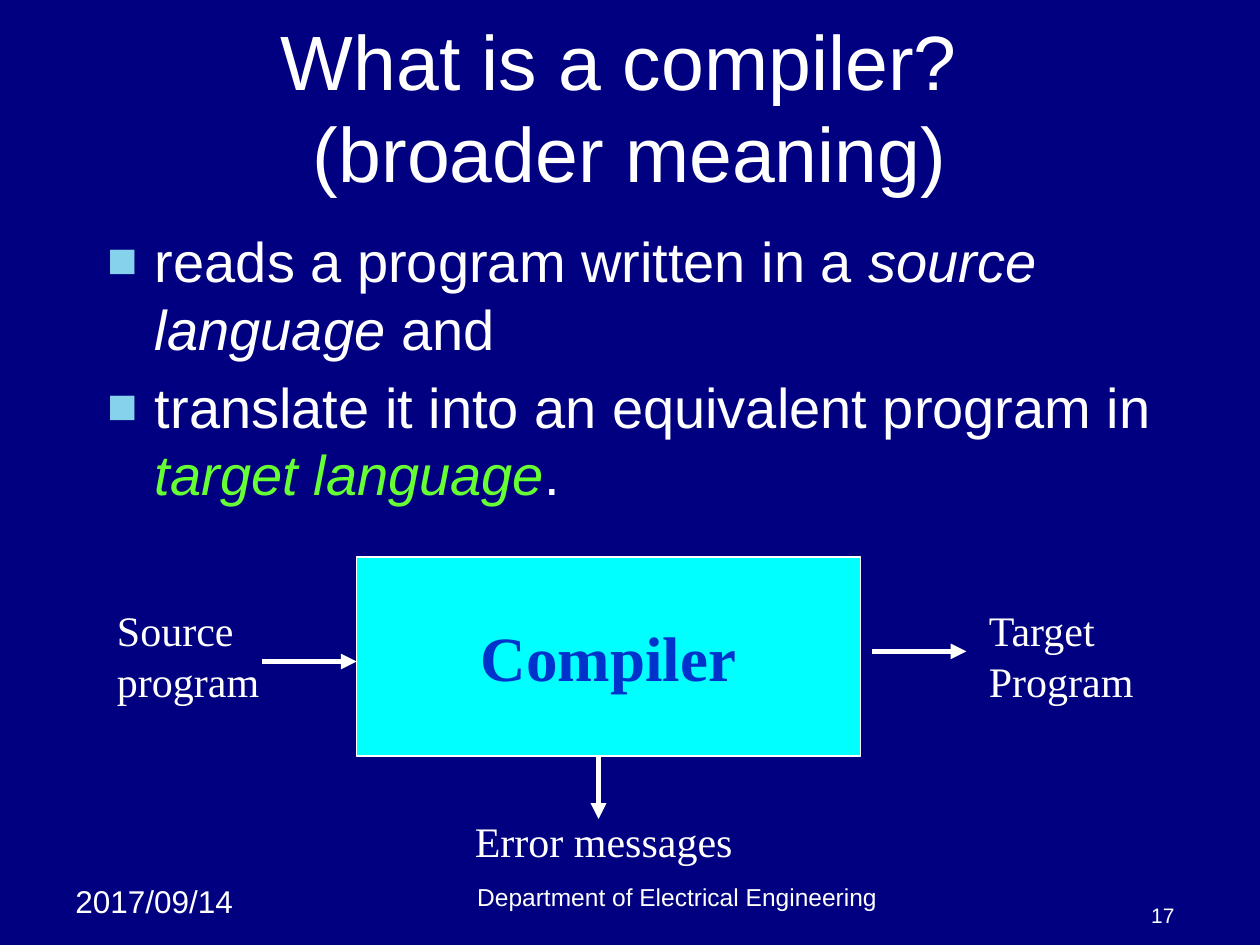
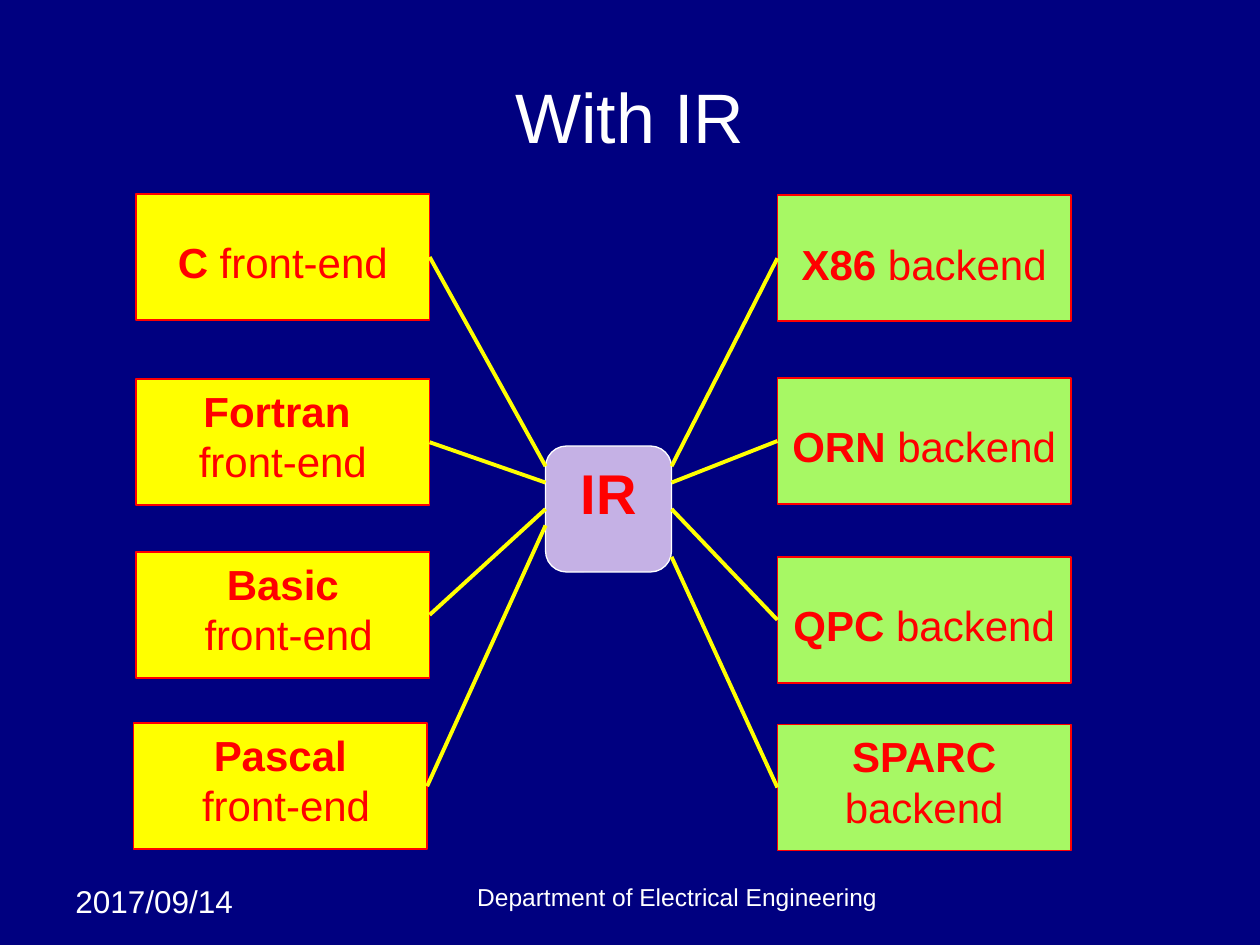
from lxml.etree import SubElement as Sub
from pptx import Presentation
from pptx.dml.color import RGBColor as RGB
from pptx.enum.shapes import MSO_CONNECTOR as Link, MSO_SHAPE as Form
from pptx.enum.text import MSO_ANCHOR as Anchor, MSO_AUTO_SIZE as Fit, PP_ALIGN as Align
from pptx.oxml.ns import qn
from pptx.util import Inches, Pt

NAVY, WHITE, SKY, LIME = "000080", "FFFFFF", "86D1EC", "66FF33"
CYAN, BLUE, YELLOW, RED = "00FFFF", "0033CC", "FFFF00", "FF0000"
GREEN, LILAC = "A7F864", "C5B1E5"
SANS, SERIF = "Arial", "Times New Roman"

BOX_W, BOX_H = 2.33, 1
IR_X, IR_W = 4.33, 1
# name, label lines, box left, box top, height of the line's end at IR
FRONTS = [
    ("C", [" front-end"], 1.08, 1.54, 3.7),
    ("Fortran ", ["", "front-end"], 1.08, 3.01, 3.83),
    ("Basic", ["", " front-end"], 1.08, 4.38, 4.04),
    ("Pascal", ["", " front-end"], 1.06, 5.74, 4.17),
]
BACKS = [
    ("X86", [" backend"], 6.17, 1.55, 3.7),
    ("ORN", [" backend"], 6.17, 3, 3.83),
    ("QPC", [" backend"], 6.17, 4.42, 4.04),
    ("SPARC", [" backend"], 6.17, 5.75, 4.42),
]


def tint(code):
    return RGB.from_string(code)


def place(shape, x, y, w, h):
    shape.left, shape.top = Inches(x), Inches(y)
    shape.width, shape.height = Inches(w), Inches(h)


def style(para, size, face=SANS, color=WHITE, align=Align.LEFT, bold=False):
    para.alignment = align
    font = para.font
    font.size, font.name, font.bold = Pt(size), face, bold
    font.color.rgb = tint(color)


def write(frame, lines, size, **look):
    """Fill a frame with one plain paragraph per line."""
    frame.text = "\n".join(lines)
    for para in frame.paragraphs:
        style(para, size, **look)


def label(slide, lines, at, size, anchor=Anchor.TOP, **look):
    box = slide.shapes.add_textbox(*map(Inches, at))
    frame = box.text_frame
    frame.word_wrap = True
    frame.vertical_anchor = anchor
    write(frame, lines, size, **look)


def head(slide, text, at, size):
    title = slide.shapes.title
    place(title, *at)
    frame = title.text_frame
    frame.auto_size, frame.vertical_anchor = Fit.NONE, Anchor.MIDDLE
    write(frame, [text], size, align=Align.CENTER)


def foot(slide, number=None):
    label(slide, ["2017/09/14"], (0.5, 6.95, 1.58, 0.4), 18)
    label(slide, ["Department of Electrical Engineering"], (2, 6.95, 6.75, 0.33),
          14, Anchor.BOTTOM, align=Align.CENTER)
    if number:
        label(slide, [number], (8.75, 7.08, 0.67, 0.33), 12, Anchor.BOTTOM,
              align=Align.RIGHT)


def block(slide, form, at, fill, edge, width, anchor=Anchor.TOP):
    """Add a filled shape and return its text frame."""
    shape = slide.shapes.add_shape(form, *map(Inches, at))
    shape.shadow.inherit = False
    shape.fill.solid()
    shape.fill.fore_color.rgb = tint(fill)
    shape.line.color.rgb = tint(edge)
    shape.line.width = Pt(width)
    frame = shape.text_frame
    frame.word_wrap, frame.vertical_anchor = True, anchor
    return frame


def join(slide, start, end, color, width, arrow=False):
    line = slide.shapes.add_connector(Link.STRAIGHT, *map(Inches, start + end))
    line.line.color.rgb = tint(color)
    line.line.width = Pt(width)
    if arrow:
        Sub(line.line._get_or_add_ln(), qn("a:tailEnd"), type="triangle")
    Sub(line._element.spPr, qn("a:effectLst"))


def bullet(para):
    props = para._p.get_or_add_pPr()
    props.set("marL", str(Inches(0.38)))
    props.set("indent", str(-Inches(0.38)))
    Sub(Sub(props, qn("a:buClr")), qn("a:srgbClr"), val=SKY)
    Sub(props, qn("a:buSzPct"), val="90000")
    Sub(props, qn("a:buFont"), typeface=SANS)
    Sub(props, qn("a:buChar"), char="■")


def points(slide, items, at):
    """Fill the body with bullets of (lead, term, term colour, tail)."""
    body = slide.placeholders[1]
    place(body, *at)
    frame = body.text_frame
    frame.auto_size = Fit.NONE
    for i, (lead, term, color, tail) in enumerate(items):
        para = frame.add_paragraph() if i else frame.paragraphs[0]
        bullet(para)
        para.space_before = Pt(6.4 if i else 0)
        style(para, 32)
        para.add_run().text = lead
        run = para.add_run()
        run.text = term
        run.font.italic = True
        run.font.color.rgb = tint(color)
        para.add_run().text = tail


def part(slide, name, rest, x, y, fill):
    """Add a box with a bold name followed by plain text."""
    frame = block(slide, Form.RECTANGLE, (x, y, BOX_W, BOX_H), fill, RED, 1)
    if len(rest) == 1 and len(name) < 5:
        frame.margin_top = Inches(0.34)
    write(frame, rest, 24, color=RED, align=Align.CENTER)
    first = frame.paragraphs[0]
    first.text = ""
    for text, bold in ((name, True), (rest[0], False)):
        if text:
            run = first.add_run()
            run.text, run.font.bold = text, bold


def broad(prs):
    slide = prs.slides.add_slide(prs.slide_layouts[1])
    head(slide, "What is a compiler? \v(broader meaning)", (0.5, 0.3, 9, 1.08), 44)
    points(slide, [
        ("reads a program written in a ", "source language", WHITE, " and"),
        ("translate it into an equivalent program in ", "target language", LIME, "."),
    ], (0.75, 1.75, 8.5, 5.42))
    frame = block(slide, Form.RECTANGLE, (2.83, 4.42, 4, 1.58), CYAN, WHITE, 1,
                  Anchor.MIDDLE)
    write(frame, ["Compiler"], 36, face=SERIF, color=BLUE, align=Align.CENTER,
          bold=True)
    for lines, at in (
        (["Source", "program"], (0.83, 4.75, 1.42, 0.91)),
        (["Target", "Program"], (7.75, 4.75, 1.58, 0.9)),
        (["Error messages"], (3.67, 6.42, 2.42, 0.5)),
    ):
        label(slide, lines, at, 24, face=SERIF)
    for start, end in (
        ((2.08, 5.25), (2.83, 5.25)),
        ((6.92, 5.17), (7.67, 5.17)),
        ((4.75, 6), (4.75, 6.5)),
    ):
        join(slide, start, end, WHITE, 3, arrow=True)
    foot(slide, "17")


def shared(prs):
    slide = prs.slides.add_slide(prs.slide_layouts[5])
    head(slide, "With IR", (0.5, 0.42, 9, 1), 40)
    for parts, fill in ((FRONTS, YELLOW), (BACKS, GREEN)):
        for name, rest, x, y, _ in parts:
            part(slide, name, rest, x, y, fill)
    frame = block(slide, Form.ROUNDED_RECTANGLE, (IR_X, 3.54, IR_W, 1), LILAC,
                  WHITE, 0.75)
    write(frame, ["IR"], 32, color=RED, align=Align.CENTER, bold=True)
    for _, _, x, y, port in FRONTS:
        join(slide, (x + BOX_W, y + BOX_H / 2), (IR_X, port), YELLOW, 2.25)
    for _, _, x, y, port in BACKS:
        join(slide, (IR_X + IR_W, port), (x, y + BOX_H / 2), YELLOW, 2.25)
    foot(slide)


def main():
    prs = Presentation()
    prs.slide_width, prs.slide_height = Inches(10), Inches(7.5)
    back = prs.slide_master.background.fill
    back.solid()
    back.fore_color.rgb = tint(NAVY)
    broad(prs)
    shared(prs)
    prs.save("out.pptx")


if __name__ == "__main__":
    main()
